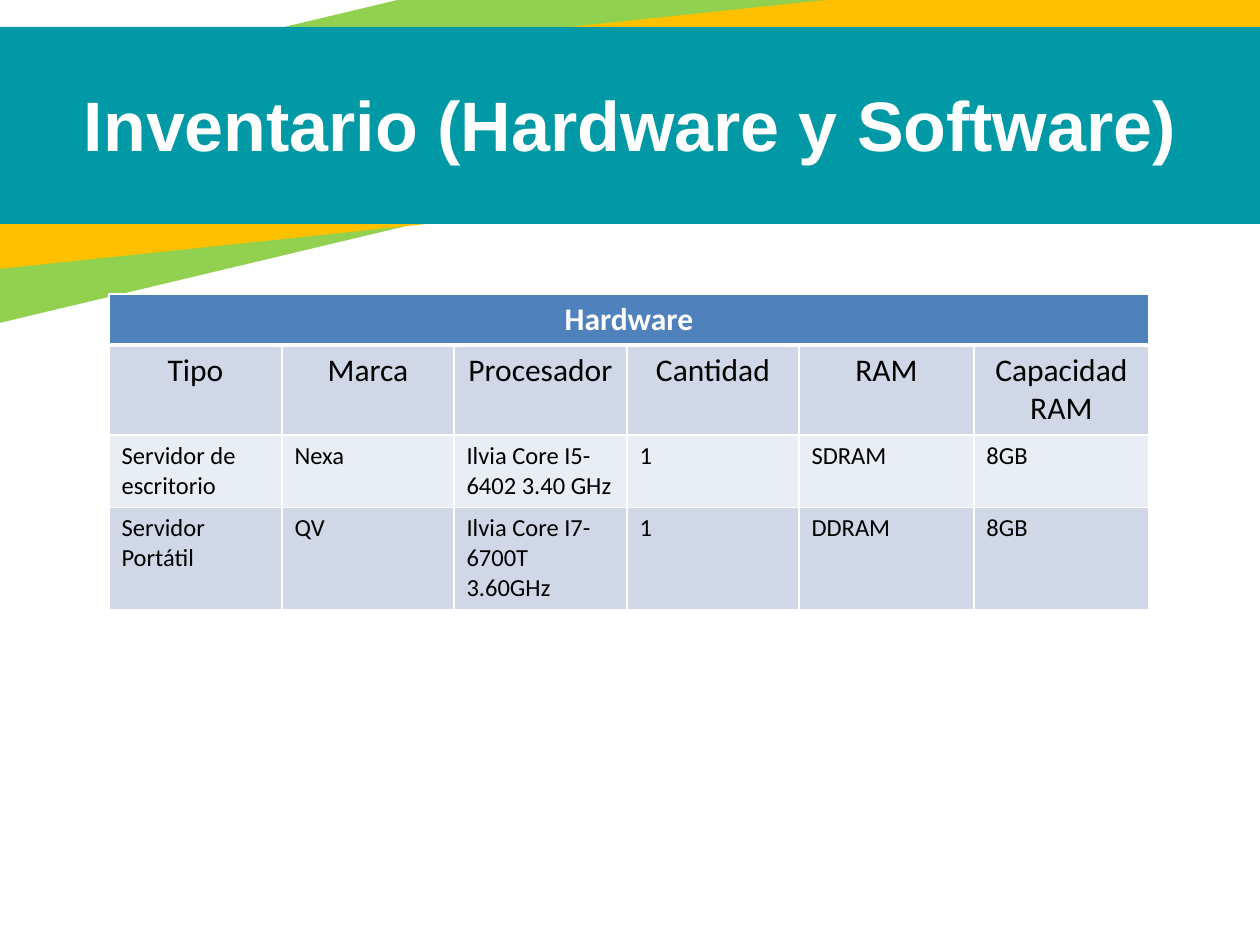
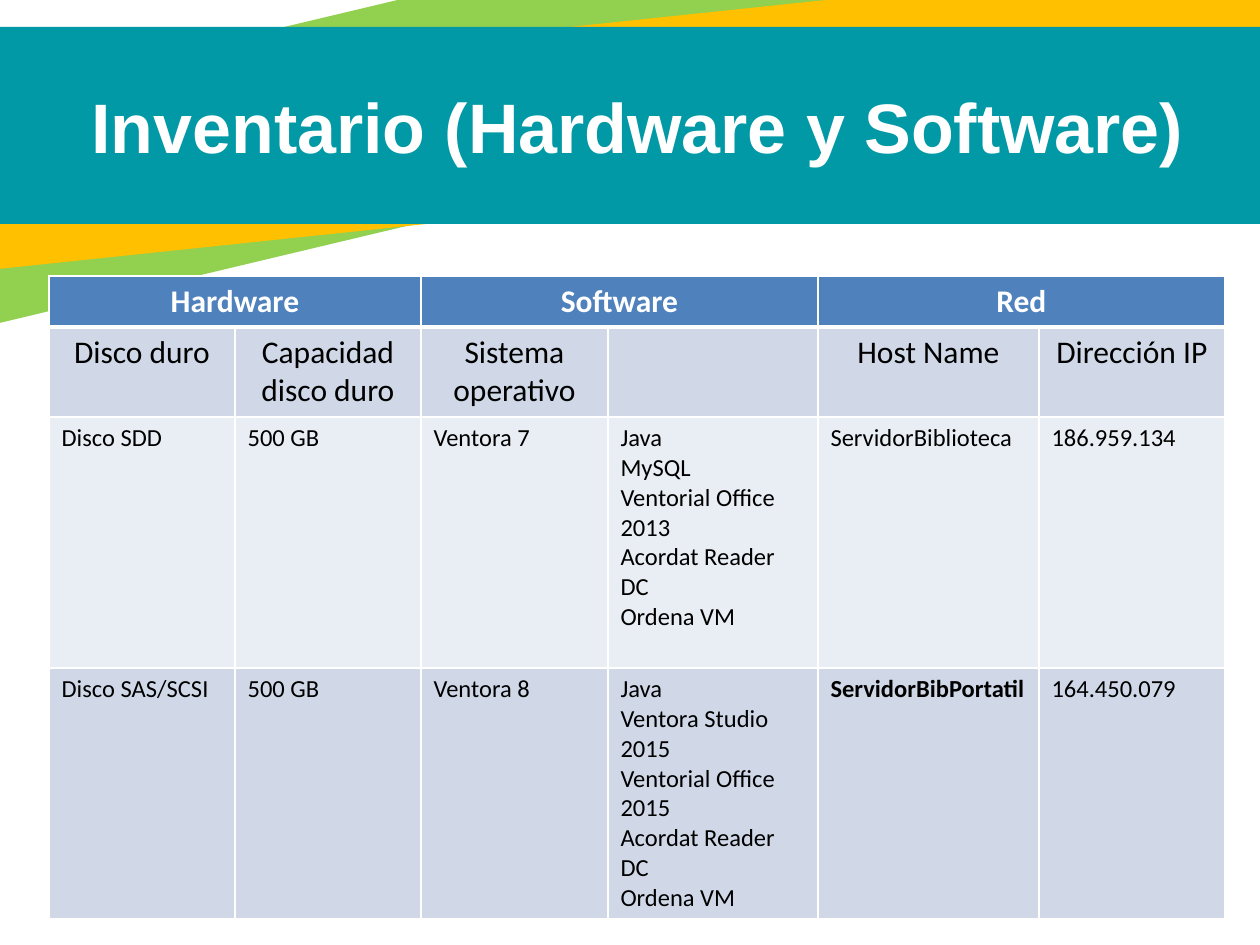
from lxml import etree
from pptx import Presentation
from pptx.dml.color import RGBColor
from pptx.enum.shapes import MSO_SHAPE
from pptx.enum.text import MSO_ANCHOR, MSO_AUTO_SIZE, PP_ALIGN
from pptx.oxml.ns import qn
from pptx.util import Emu, Pt

RECTANGLE = MSO_SHAPE.RECTANGLE
MIDDLE = MSO_ANCHOR.MIDDLE
NO_AUTOFIT = MSO_AUTO_SIZE.NONE
CENTER = PP_ALIGN.CENTER
LEFT = PP_ALIGN.LEFT

WHITE = RGBColor(0xFF, 0xFF, 0xFF)
BLACK = RGBColor(0x00, 0x00, 0x00)
GREEN = RGBColor(0x92, 0xD0, 0x50)
AMBER = RGBColor(0xFF, 0xC0, 0x00)
TEAL = RGBColor(0x00, 0x99, 0xA5)
HEADER_BLUE = RGBColor(0x4F, 0x81, 0xBD)
ROW_DARK = RGBColor(0xD0, 0xD8, 0xE8)
ROW_LIGHT = RGBColor(0xE9, 0xED, 0xF4)

PX_PER_INCH = 126
SLIDE_WIDTH, SLIDE_HEIGHT = 1260, 945
TITLE = "Inventario (Hardware y Software)"
BANDS = [
    ((-316, -23, 1646, 222), 346.6, GREEN),
    ((-139, 25, 1465, 181), 354, AMBER),
    ((-134, 27, 1465, 197), 0, TEAL),
]

HARDWARE = {
    "title_box": (63, 35, 1134, 178),
    "origin": (109, 294),
    "columns": [173, 172, 173, 172, 175, 175],
    "rows": [51, 90, 72, 101],
    "groups": ["Hardware"],
    "labels": ["Tipo", "Marca", "Procesador", "Cantidad", "RAM", "Capacidad RAM"],
    "records": [
        ["Servidor de escritorio", "Nexa", "Ilvia Core I5-6402 3.40 GHz", "1", "SDRAM", "8GB"],
        ["Servidor Portátil", "QV", "Ilvia Core I7-6700T 3.60GHz", "1", "DDRAM", "8GB"],
    ],
}
SOFTWARE_AND_NETWORK = {
    "title_box": (70, 76, 1135, 100),
    "origin": (49, 276),
    "columns": [186, 186, 187, 210, 221, 186],
    "rows": [51, 90, 251, 251],
    "groups": ["Hardware", "Software", "Red"],
    "labels": ["Disco duro", "Capacidad disco duro", "Sistema operativo", "",
               "Host Name", "Dirección IP"],
    "records": [
        ["Disco SDD", "500 GB", "Ventora 7",
         "Java\nMySQL\nVentorial Office 2013\nAcordat Reader DC\nOrdena VM",
         "ServidorBiblioteca", "186.959.134"],
        ["Disco SAS/SCSI", "500 GB", "Ventora 8",
         "Java\nVentora Studio 2015\nVentorial Office 2015\nAcordat Reader DC\nOrdena VM",
         "ServidorBibPortatil", "164.450.079"],
    ],
}
BOLD_TEXTS = {"ServidorBibPortatil"}


def px(length):
    return Emu(round(length * 914400 / PX_PER_INCH))


def format_text(frame, font_name, size, color, bold, alignment):
    for paragraph in frame.paragraphs:
        paragraph.alignment = alignment
        paragraph.font.size = Pt(size)
        for run in paragraph.runs:
            run.font.name = font_name
            run.font.size = Pt(size)
            run.font.bold = bold
            run.font.color.rgb = color


def add_bands(slide, layout):
    for position, (box, angle, color) in enumerate(BANDS):
        band = slide.shapes.add_shape(RECTANGLE, *map(px, box))
        band.rotation = angle
        band.shadow.inherit = False
        band.fill.solid()
        band.fill.fore_color.rgb = color
        band.line.fill.background()
        layout.shapes.element.insert(2 + position, band.element)


def place_title(slide, box):
    title = slide.shapes.title
    title.left, title.top, title.width, title.height = map(px, box)
    frame = title.text_frame
    frame.text = TITLE
    frame.word_wrap = True
    frame.auto_size = NO_AUTOFIT
    frame.vertical_anchor = MIDDLE
    format_text(frame, "Arial", 40, WHITE, True, CENTER)


def add_borders(cell, bottom_width):
    properties = cell._tc.get_or_add_tcPr()
    for side, width in (("L", 1), ("R", 1), ("T", 1), ("B", bottom_width)):
        border = etree.SubElement(properties, qn(f"a:ln{side}"), w=str(Pt(width)))
        fill = etree.SubElement(border, qn("a:solidFill"))
        etree.SubElement(fill, qn("a:srgbClr"), val=str(WHITE))


def fill_cell(cell, text, fill, size, color, bold, alignment, bottom_width=1):
    cell.text_frame.text = text
    format_text(cell.text_frame, "Calibri", size, color, bold, alignment)
    add_borders(cell, bottom_width)
    cell.fill.solid()
    cell.fill.fore_color.rgb = fill


def add_inventory(slide, inventory):
    columns, rows = inventory["columns"], inventory["rows"]
    box = (*inventory["origin"], sum(columns), sum(rows))
    table = slide.shapes.add_table(len(rows), len(columns), *map(px, box)).table
    for column, width in zip(table.columns, columns):
        column.width = px(width)
    for row, height in zip(table.rows, rows):
        row.height = px(height)

    groups = inventory["groups"]
    span = len(columns) // len(groups)
    for index in range(len(columns)):
        text = groups[index // span] if index % span == 0 else ""
        fill_cell(table.cell(0, index), text, HEADER_BLUE, 18, WHITE, True, CENTER, 3)
    for start in range(0, len(columns), span):
        table.cell(0, start).merge(table.cell(0, start + span - 1))

    for index, label in enumerate(inventory["labels"]):
        fill_cell(table.cell(1, index), label, ROW_DARK, 18, BLACK, False, CENTER)
    for row, record in enumerate(inventory["records"], 2):
        fill = ROW_DARK if row % 2 else ROW_LIGHT
        for index, text in enumerate(record):
            fill_cell(table.cell(row, index), text, fill, 14, BLACK, text in BOLD_TEXTS, LEFT)


def main():
    presentation = Presentation()
    presentation.slide_width = px(SLIDE_WIDTH)
    presentation.slide_height = px(SLIDE_HEIGHT)
    layout = presentation.slide_layouts[5]
    for number, inventory in enumerate((HARDWARE, SOFTWARE_AND_NETWORK)):
        slide = presentation.slides.add_slide(layout)
        if number == 0:
            add_bands(slide, layout)
        place_title(slide, inventory["title_box"])
        add_inventory(slide, inventory)
    presentation.save("out.pptx")


if __name__ == "__main__":
    main()
